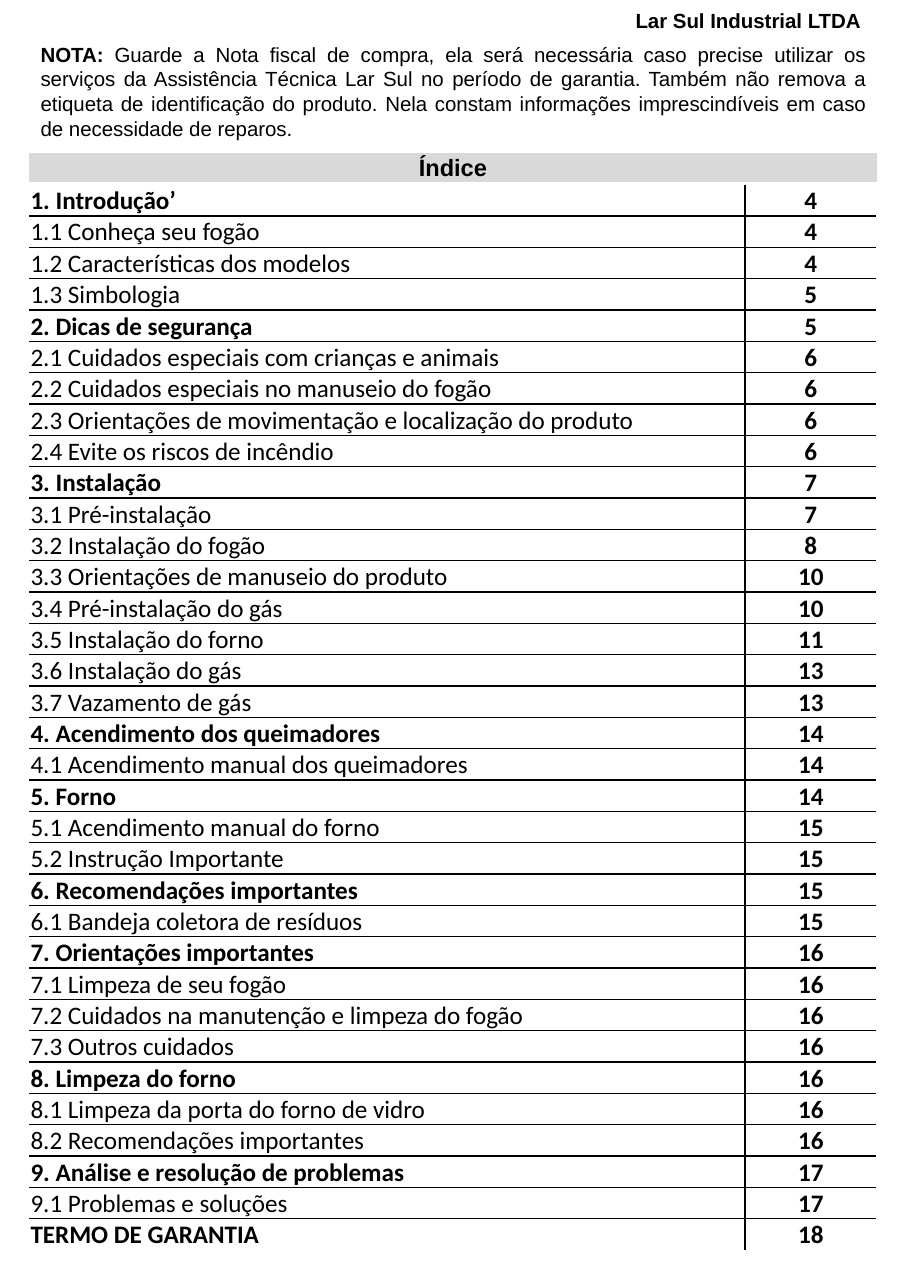
from dataclasses import dataclass

from lxml import etree
from pptx import Presentation
from pptx import util as u
from pptx.dml.color import RGBColor
from pptx.enum import text
from pptx.oxml.ns import qn


@dataclass(frozen=True)
class Theme:
    ink: str = "000000"
    band: str = "D9D9D9"
    heading_font: str = "Arial"
    table_font: str = "Calibri"
    note_size: int = 13
    title_size: int = 15
    row_size: int = 16
    line: int = 1


ALIGN = text.PP_ALIGN
PAGE_WIDTH, PAGE_HEIGHT = 8, 91 / 8
LEFT, WIDTH = 0.26, 7.48
COLUMNS = (6.32, 1.16)
TABLE_TOP, TABLE_HEIGHT, ROW_HEIGHT = 1.63, 9.42, 0.21

COMPANY = "Lar Sul Industrial LTDA "
NOTE = (
    " Guarde a Nota fiscal de compra, ela será necessária caso precise utilizar os "
    "serviços da Assistência Técnica Lar Sul no período de garantia. Também não remova a "
    "etiqueta de identificação do produto. Nela constam informações imprescindíveis em caso "
    "de necessidade de reparos."
)
INDEX = [
    ("1. Introdução’", 4),
    ("1.1 Conheça seu fogão", 4),
    ("1.2 Características dos modelos", 4),
    ("1.3 Simbologia", 5),
    ("2. Dicas de segurança", 5),
    ("2.1 Cuidados especiais com crianças e animais", 6),
    ("2.2 Cuidados especiais no manuseio do fogão", 6),
    ("2.3 Orientações de movimentação e localização do produto", 6),
    ("2.4 Evite os riscos de incêndio", 6),
    ("3. Instalação", 7),
    ("3.1 Pré-instalação", 7),
    ("3.2 Instalação do fogão", 8),
    ("3.3 Orientações de manuseio do produto", 10),
    ("3.4 Pré-instalação do gás", 10),
    ("3.5 Instalação do forno", 11),
    ("3.6 Instalação do gás", 13),
    ("3.7 Vazamento de gás", 13),
    ("4. Acendimento dos queimadores", 14),
    ("4.1 Acendimento manual dos queimadores", 14),
    ("5. Forno", 14),
    ("5.1 Acendimento manual do forno", 15),
    ("5.2 Instrução Importante", 15),
    ("6. Recomendações importantes", 15),
    ("6.1 Bandeja coletora de resíduos", 15),
    ("7. Orientações importantes", 16),
    ("7.1 Limpeza de seu fogão", 16),
    ("7.2 Cuidados na manutenção e limpeza do fogão", 16),
    ("7.3 Outros cuidados", 16),
    ("8. Limpeza do forno", 16),
    ("8.1 Limpeza da porta do forno de vidro", 16),
    ("8.2 Recomendações importantes", 16),
    ("9. Análise e resolução de problemas", 17),
    ("9.1 Problemas e soluções", 17),
    ("TERMO DE GARANTIA", 18),
]


def apply(target, values):
    for name, value in values.items():
        setattr(target, name, value)


class Page:
    def __init__(self, slide, theme):
        self.s = slide
        self.theme = theme

    def run(self, p, words, font, size, bold):
        r = p.add_run()
        r.text = words
        apply(r.font, {"name": font, "size": u.Pt(size), "bold": bold})
        r.font.color.rgb = RGBColor.from_string(self.theme.ink)

    def title(self, words, top, height):
        t = self.theme
        sp = self.s.shapes.title
        apply(sp, {"left": u.Inches(LEFT), "top": u.Inches(top),
                   "width": u.Inches(WIDTH), "height": u.Inches(height)})
        band = RGBColor.from_string(t.band)
        sp.fill.solid()
        sp.fill.fore_color.rgb = band
        sp.line.color.rgb = band
        sp.line.width = u.Pt(t.line)
        tf = sp.text_frame
        apply(tf, {"margin_left": 0, "margin_right": 0, "margin_top": 0, "margin_bottom": 0,
                   "vertical_anchor": text.MSO_ANCHOR.MIDDLE,
                   "auto_size": text.MSO_AUTO_SIZE.NONE})
        p = tf.paragraphs[0]
        apply(p, {"alignment": ALIGN.CENTER, "line_spacing": 1.0})
        self.run(p, words, t.heading_font, t.title_size, True)

    def note(self, paragraphs, top, height):
        t = self.theme
        sp = self.s.shapes.add_textbox(u.Inches(LEFT), u.Inches(top),
                                       u.Inches(WIDTH), u.Inches(height))
        tf = sp.text_frame
        apply(tf, {"word_wrap": True, "auto_size": text.MSO_AUTO_SIZE.SHAPE_TO_FIT_TEXT})
        for i, (align, after, runs) in enumerate(paragraphs):
            p = tf.add_paragraph() if i else tf.paragraphs[0]
            apply(p, {"alignment": align, "space_after": u.Pt(after)})
            for words, bold in runs:
                self.run(p, words, t.heading_font, t.note_size, bold)

    def borders(self, cell, visible):
        tc_pr = cell._tc.get_or_add_tcPr()
        for side in "LRTB":
            ln = etree.SubElement(tc_pr, qn(f"a:ln{side}"), w=str(u.Pt(self.theme.line)))
            if side in visible:
                fill = etree.SubElement(ln, qn("a:solidFill"))
                etree.SubElement(fill, qn("a:srgbClr"), val=self.theme.ink)
            else:
                etree.SubElement(ln, qn("a:noFill"))

    def index(self, entries):
        t = self.theme
        frame = self.s.shapes.add_table(
            len(entries), len(COLUMNS), u.Inches(LEFT), u.Inches(TABLE_TOP),
            u.Inches(WIDTH), u.Inches(TABLE_HEIGHT))
        table = frame.table
        apply(table, {"first_row": False, "horz_banding": False})
        for column, width in zip(table.columns, COLUMNS):
            column.width = u.Inches(width)
        for row in table.rows:
            row.height = u.Inches(ROW_HEIGHT)
        frame.height = u.Inches(TABLE_HEIGHT)
        for i, (label, number) in enumerate(entries):
            inner = ("T" if i else "") + ("B" if i < len(entries) - 1 else "")
            is_section = not label[2].isdigit()
            columns = (
                (label, is_section, ALIGN.LEFT, "R"),
                (str(number), True, ALIGN.CENTER, "L"),
            )
            for j, (words, bold, align, divider) in enumerate(columns):
                cell = table.cell(i, j)
                margin = u.Inches(0.01)
                apply(cell, {"margin_left": margin, "margin_right": margin,
                             "margin_top": margin, "margin_bottom": 0,
                             "vertical_anchor": text.MSO_ANCHOR.MIDDLE})
                self.borders(cell, inner + divider)
                cell.fill.background()
                p = cell.text_frame.paragraphs[0]
                p.alignment = align
                self.run(p, words, t.table_font, t.row_size, bold)


def main():
    prs = Presentation()
    apply(prs, {"slide_width": u.Inches(PAGE_WIDTH), "slide_height": u.Inches(PAGE_HEIGHT)})
    page = Page(prs.slides.add_slide(prs.slide_layouts[5]), Theme())
    page.note([
        (ALIGN.RIGHT, 6, [(COMPANY, True)]),
        (ALIGN.JUSTIFY, 4.5, [("NOTA:", True), (NOTE, False)]),
    ], 0.02, 1.28)
    page.title("Índice", 1.36, 0.24)
    page.index(INDEX)
    prs.save("out.pptx")


if __name__ == "__main__":
    main()
